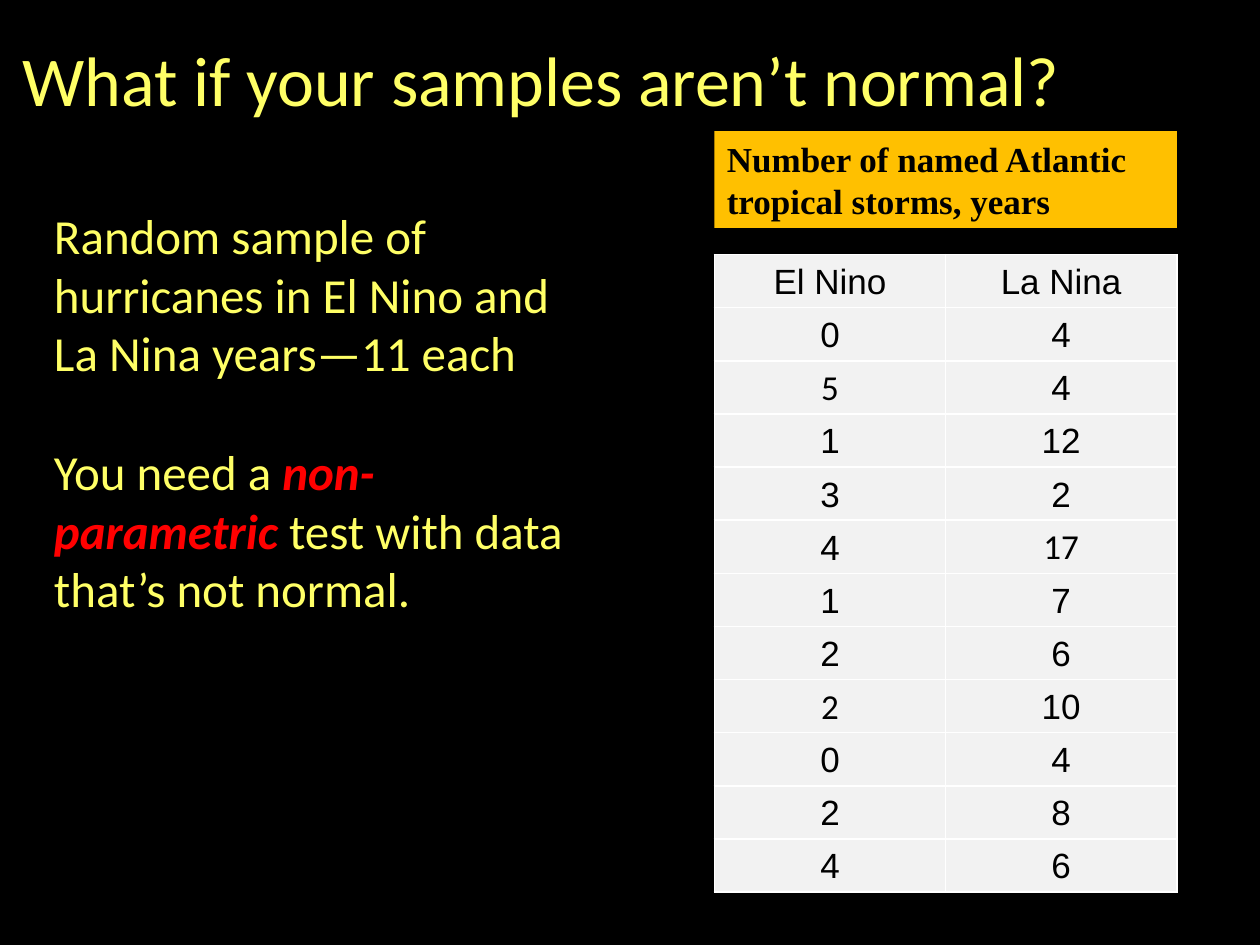
from lxml import etree
from pptx import Presentation
from pptx.dml.color import RGBColor
from pptx.enum.shapes import MSO_SHAPE
from pptx.enum.text import MSO_ANCHOR, PP_ALIGN
from pptx.oxml.ns import qn
from pptx.util import Inches, Pt

RECTANGLE = MSO_SHAPE.RECTANGLE
LEFT, CENTER = PP_ALIGN.LEFT, PP_ALIGN.CENTER
TOP, MIDDLE = MSO_ANCHOR.TOP, MSO_ANCHOR.MIDDLE

BLACK, YELLOW, RED = "000000", "FFFF66", "FF0000"
ORANGE, PALE_GRAY, WHITE = "FFC000", "F2F2F2", "FFFFFF"

TABLE_LEFT, TABLE_WIDTH = 5.67, 3.67
TABLE_TOP, TABLE_HEIGHT = 2.02, 5.06
EL_NINO = ["El Nino", 0, 5, 1, 3, 4, 1, 2, 2, 0, 2, 4]
LA_NINA = ["La Nina", 4, 4, 12, 2, 17, 7, 6, 10, 4, 8, 6]
CALIBRI_CELLS = {(2, 0), (5, 1), (8, 0)}


def color(hex_text):
    """Turn a hex string into a colour."""
    return RGBColor.from_string(hex_text)


def paint(target, hex_text):
    """Fill a shape, cell or background with one colour."""
    target.fill.solid()
    target.fill.fore_color.rgb = color(hex_text)


def add_text(paragraph, text, font="Calibri", size=28, fill=YELLOW,
             bold=False, italic=False, align=LEFT):
    """Append a formatted run to a paragraph."""
    paragraph.alignment = align
    run = paragraph.add_run()
    run.text = text
    run.font.name = font
    run.font.size = Pt(size)
    run.font.bold = bold
    run.font.italic = italic
    run.font.color.rgb = color(fill)


def add_text_box(slide, left, top, width, height):
    """Add a wrapping text box and return its text frame."""
    box = slide.shapes.add_textbox(*map(Inches, (left, top, width, height)))
    box.text_frame.word_wrap = True
    return box.text_frame


def add_caption(slide, text):
    """Add the orange caption above the table."""
    shape = slide.shapes.add_shape(
        RECTANGLE, *map(Inches, (TABLE_LEFT, 1.04, TABLE_WIDTH, 0.77)))
    shape.shadow.inherit = False
    paint(shape, ORANGE)
    shape.line.fill.background()
    shape.text_frame.word_wrap = True
    shape.text_frame.vertical_anchor = TOP
    add_text(shape.text_frame.paragraphs[0], text, font="Times New Roman",
             size=20, fill=BLACK, bold=True)


def add_borders(cell):
    """Draw white one-point borders around a cell."""
    properties = cell._tc.get_or_add_tcPr()
    for index, side in enumerate(("lnL", "lnR", "lnT", "lnB")):
        line = etree.Element(qn(f"a:{side}"), w=str(Pt(1)))
        solid = etree.SubElement(line, qn("a:solidFill"))
        etree.SubElement(solid, qn("a:srgbClr"), val=WHITE)
        properties.insert(index, line)


def add_storm_table(slide):
    """Add the table of storm counts in the two kinds of year."""
    rows = list(zip(EL_NINO, LA_NINA))
    table = slide.shapes.add_table(
        len(rows), 2, *map(Inches, (TABLE_LEFT, TABLE_TOP, TABLE_WIDTH, TABLE_HEIGHT))).table
    table.first_row = False
    table.horz_banding = False
    for row_index, values in enumerate(rows):
        for column_index, value in enumerate(values):
            cell = table.cell(row_index, column_index)
            cell.margin_left = cell.margin_right = cell.margin_top = Inches(0.02)
            cell.margin_bottom = 0
            cell.vertical_anchor = MIDDLE
            paint(cell, PALE_GRAY)
            add_borders(cell)
            font = "Calibri" if (row_index, column_index) in CALIBRI_CELLS else "Arial"
            add_text(cell.text_frame.paragraphs[0], str(value), font=font,
                     size=20, fill=BLACK, align=CENTER)


def add_explanation(slide):
    """Add the two paragraphs on the left."""
    frame = add_text_box(slide, 0.33, 1.58, 4.42, 5.28)
    add_text(frame.paragraphs[0],
             "Random sample of hurricanes in El Nino and La Nina years—11 each")
    paragraph = frame.add_paragraph()
    paragraph.space_before = Pt(34)
    add_text(paragraph, "You need a ")
    add_text(paragraph, "non-parametric ", fill=RED, bold=True, italic=True)
    add_text(paragraph, "test with data that’s not normal.")


def main():
    """Build and save the presentation."""
    presentation = Presentation()
    presentation.slide_width = Inches(10)
    presentation.slide_height = Inches(7.5)
    slide = presentation.slides.add_slide(presentation.slide_layouts[6])
    paint(slide.background, BLACK)
    title = add_text_box(slide, 0.08, 0.24, 9.76, 0.77)
    add_text(title.paragraphs[0], "What if your samples aren’t normal?", size=40)
    add_storm_table(slide)
    add_caption(slide, "Number of named Atlantic tropical storms, years")
    add_explanation(slide)
    presentation.save("out.pptx")


if __name__ == "__main__":
    main()
